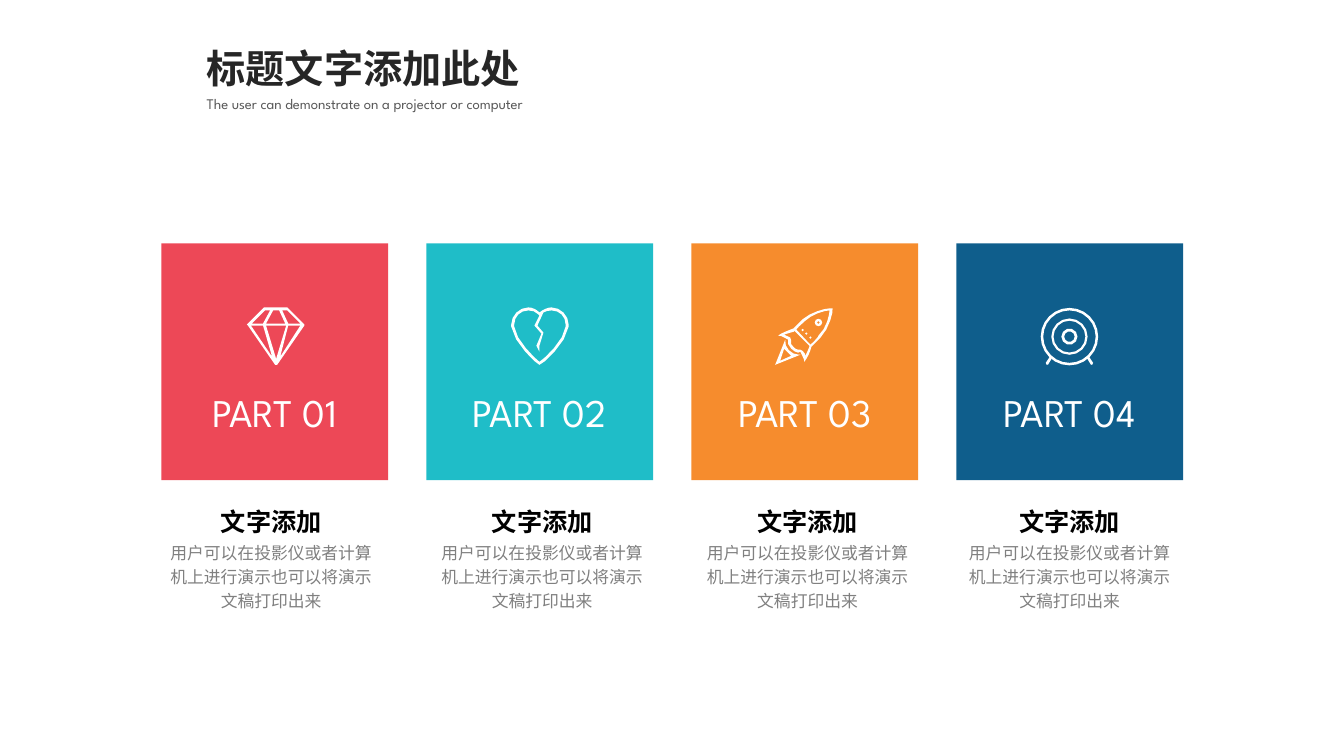
import math
import pptx
import pptx.dml.color
import pptx.enum.shapes
import pptx.enum.text
import pptx.util

Pt = pptx.util.Pt
COLORS = {"red": "ED4857", "teal": "1FBDC8", "orange": "F68C2D", "blue": "0F5E8C",
          "white": "FFFFFF", "title": "262626", "subtitle": "595959",
          "heading": "000000", "body": "808080"}
BODY = "用户可以在投影仪或者计算机上进行演示也可以将演示文稿打印出来"
ICON_UNIT = 0.72  # points per icon grid unit
FINE = 100  # freeform steps per grid unit

# Icon outlines: pairs are line ends, sixes are Bezier curves
diamond = [
    [(57, 17), (56, 16), (41, 1), (40, 0), (17, 0), (16, 1), (1, 16), (0, 17),
     (1, 18), (28, 57), (29, 57), (30, 57), (57, 18)],
    [(40, 3), (53, 16), (41, 16), (35, 3)],
    [(32, 3), (38, 16), (19, 16), (26, 3)],
    [(18, 3), (23, 3), (16, 16), (5, 16)],
    [(4, 18), (16, 18), (25, 49)],
    [(29, 51), (19, 18), (39, 18)],
    [(33, 49), (41, 18), (53, 18)],
]
heart = [
    [(57, 17), (57, 8, 49, 0, 40, 0), (36, 0, 32, 2, 28, 5), (25, 2, 21, 0, 17, 0),
     (8, 0, 0, 8, 0, 17), (0, 19), (2, 35, 26, 57, 28, 57), (31, 57, 55, 35, 57, 19)],
    [(54, 19), (53, 32, 33, 51, 28, 54), (24, 51, 4, 32, 3, 19), (3, 17),
     (3, 9, 9, 3, 17, 3), (21, 3, 24, 4, 27, 7), (28, 8), (23, 18), (30, 26),
     (25, 38), (28, 44), (28, 38), (32, 25), (26, 18), (32, 5),
     (34, 4, 37, 3, 40, 3), (48, 3, 54, 9, 54, 17)],
]
rocket = [
    [(10, 32), (0, 57), (25, 47), (24, 47), (16, 47, 9, 40, 10, 32)],
    [(5, 53), (9, 41), (12, 44), (16, 48)],
    [(57, 1), (54, 1), (49, 1, 35, 5, 27, 12), (18, 21), (13, 23, 7, 25, 3, 28),
     (3, 28, 8, 28, 13, 32), (12, 35, 13, 38, 16, 41), (18, 43, 21, 45, 23, 45),
     (25, 44), (29, 50, 29, 54, 29, 54), (32, 50, 35, 44, 36, 39), (45, 30),
     (54, 21, 58, 3, 57, 1)],
    [(34, 39), (33, 42, 31, 46, 30, 48), (30, 46, 29, 45, 27, 43), (25, 42), (23, 42),
     (21, 42, 20, 41, 18, 39), (16, 38, 15, 35, 16, 33), (15, 30),
     (13, 29, 11, 28, 9, 27), (12, 26, 15, 25, 19, 24), (19, 23), (34, 38)],
    [(43, 28), (43, 29, 42, 30, 41, 31), (40, 33, 37, 35, 35, 37), (21, 22),
     (22, 20, 25, 18, 27, 16), (29, 14), (36, 7, 49, 3, 54, 3), (54, 7, 51, 21, 43, 28)],
]
left_leg = [(9, 49), (5, 55), (6, 57), (7.4, 56.6), (10.5, 51.4)]
target = [left_leg, [(57 - x, y) for x, y in left_leg]]

# Circles: outline list, centre, radius and corner count
circles = [(target, 28.5, 29, radius, count) for radius, count in
           ((28.5, 24), (26, 24), (18, 16), (15.8, 16), (8, 10), (5.2, 10))]
circles += [(rocket, 43, 15, 3.7, 8), (rocket, 43, 15, 1.5, 4)]
circles += [(rocket, x, y, 1.2, 4) for x, y in ((27.3, 22.5), (31, 26), (35, 30))]
for outlines, center_x, center_y, radius, count in circles:
    angles = [2 * math.pi * step / count for step in range(count)]
    outlines.append([(center_x + radius * math.cos(angle),
                      center_y + radius * math.sin(angle)) for angle in angles])


def flatten(outline):
    points = []
    for part in outline:
        if len(part) == 2:
            points.append(part)
            continue
        controls = [points[-1], part[:2], part[2:4], part[4:]]
        steps = 4 if math.dist(controls[0], controls[3]) > 11 else 2
        for step in range(1, steps + 1):
            t = step / steps
            weights = [math.comb(3, k) * t**k * (1 - t)**(3 - k) for k in range(4)]
            points.append(tuple(sum(w * c[axis] for w, c in zip(weights, controls))
                                for axis in (0, 1)))
    return [(x * FINE, y * FINE) for x, y in points]


def add_text(text, left, top, width, height, size, font, color,
             bold=False, centered=True, spacing=None, wrap=True):
    box = slide.shapes.add_textbox(Pt(left), Pt(top), Pt(width), Pt(height))
    box.text_frame.word_wrap = wrap
    box.text_frame.auto_size = pptx.enum.text.MSO_AUTO_SIZE.SHAPE_TO_FIT_TEXT
    paragraph = box.text_frame.paragraphs[0]
    paragraph.text = text
    if centered:
        paragraph.alignment = pptx.enum.text.PP_ALIGN.CENTER
    if spacing:
        paragraph.line_spacing = spacing
    paragraph.font.size = Pt(size)
    paragraph.font.name = font
    paragraph.font.bold = bold
    paragraph.font.color.rgb = pptx.dml.color.RGBColor.from_string(COLORS[color])


presentation = pptx.Presentation()
presentation.slide_width = Pt(960)
presentation.slide_height = Pt(540)
slide = presentation.slides.add_slide(presentation.slide_layouts[6])

# Coloured cards
card_lefts = [115.2 + 189.3 * index for index in range(4)]
filled_shapes = []
for card_left, color in zip(card_lefts, ("red", "teal", "orange", "blue")):
    card = slide.shapes.add_shape(pptx.enum.shapes.MSO_SHAPE.RECTANGLE,
                                  Pt(card_left), Pt(173.8), Pt(162), Pt(169.2))
    filled_shapes.append((card, color))

# White icons
for outlines, icon_left in ((diamond, 176.4), (heart, 365.2),
                            (target, 743.4), (rocket, 553.7)):
    first, *others = [flatten(outline) for outline in outlines]
    builder = slide.shapes.build_freeform(*first[0], scale=Pt(ICON_UNIT) / FINE)
    builder.add_line_segments(first[1:], close=True)
    for points in others:
        builder.move_to(*points[0])
        builder.add_line_segments(points[1:], close=True)
    filled_shapes.append((builder.convert_to_shape(Pt(icon_left), Pt(219.6)), "white"))

for shape, color in filled_shapes:
    shape.shadow.inherit = False
    shape.fill.solid()
    shape.fill.fore_color.rgb = pptx.dml.color.RGBColor.from_string(COLORS[color])
    shape.line.fill.background()

# Subtitle and title
add_text("The user can demonstrate on a projector or computer", 140.5, 64.4, 296.6, 20.2,
         10.5, "League Spartan", "subtitle", centered=False)
add_text("标题文字添加此处", 140.5, 28.1, 240.5, 41, 28, "Arial", "title",
         bold=True, centered=False, wrap=False)

# Part labels
for number, card_left in enumerate(card_lefts, 1):
    add_text(f"PART {number:02d}", card_left, 273.6, 162, 41,
             28, "League Spartan", "white")

# Body and heading under each card
for body_left in (109.8, 303.4, 493, 680.2):
    add_text(BODY, body_left, 381.3, 167.8, 59.8, 12, "Arial", "body", spacing=1.2)
    add_text("文字添加", body_left + 1.8, 353.5, 164.2, 33.8, 18, "Arial", "heading",
             bold=True, spacing=1.2)

presentation.save("out.pptx")
